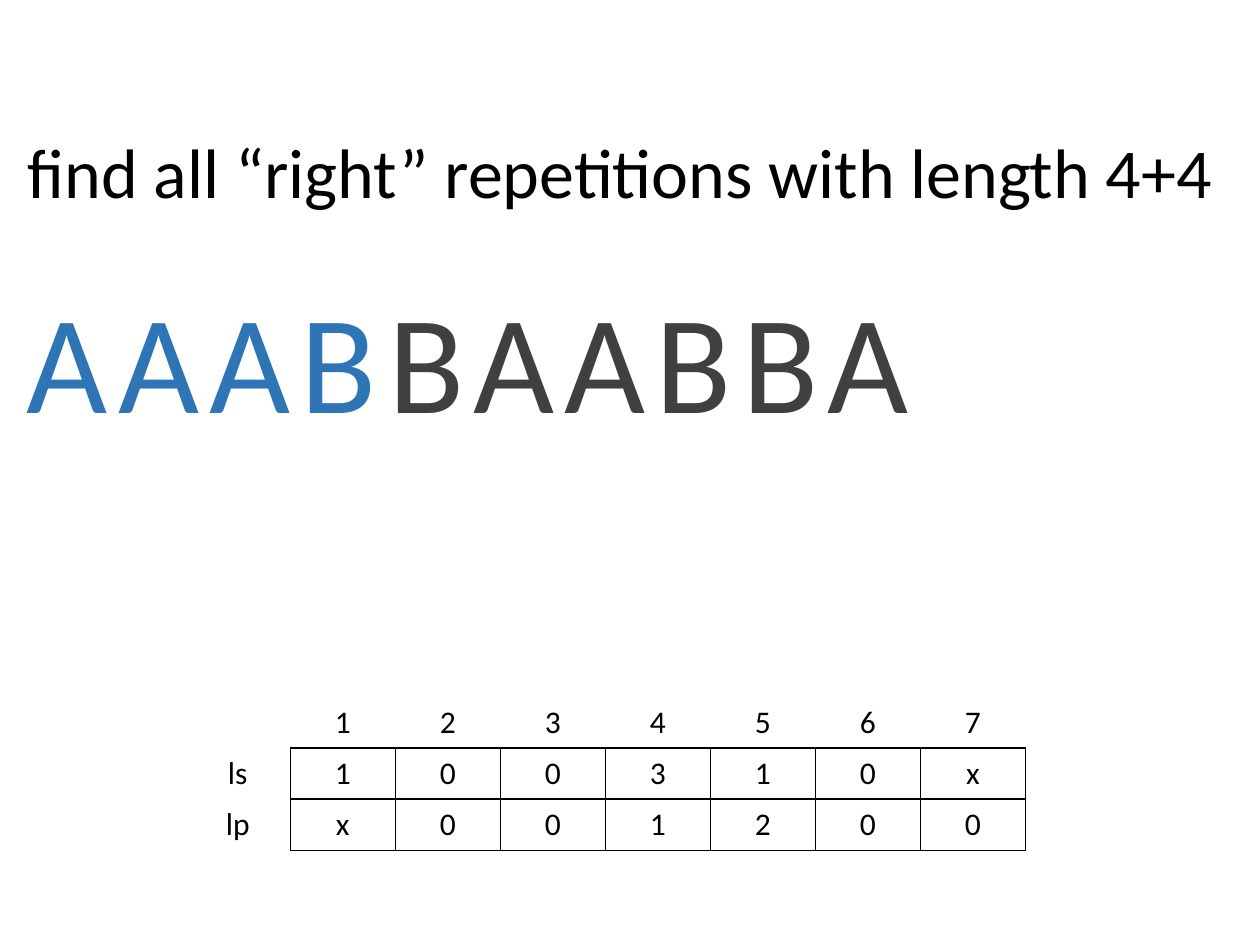
from lxml import etree
from pptx import Presentation
from pptx.dml.color import RGBColor
from pptx.enum.text import MSO_ANCHOR, MSO_AUTO_SIZE, PP_ALIGN
from pptx.oxml.ns import qn
from pptx.util import Inches, Pt

CENTER = PP_ALIGN.CENTER
TOP, MIDDLE = MSO_ANCHOR.TOP, MSO_ANCHOR.MIDDLE
FIT_SHAPE = MSO_AUTO_SIZE.SHAPE_TO_FIT_TEXT
BLACK = RGBColor(0x00, 0x00, 0x00)
BLUE = RGBColor(0x2E, 0x75, 0xB6)
GRAY = RGBColor(0x40, 0x40, 0x40)
FONT = "Calibri"
TITLE_ONLY = 5


def add_run(p, text, size, color):
    p.alignment = CENTER
    r = p.add_run()
    r.text = text
    r.font.name = FONT
    r.font.size = Pt(size)
    r.font.bold = False
    r.font.color.rgb = color
    return r


def set_border(cell, side, visible):
    ln = etree.SubElement(cell._tc.get_or_add_tcPr(), qn(f"a:ln{side}"), w=str(Pt(1)))
    if visible:
        fill = etree.SubElement(ln, qn("a:solidFill"))
        etree.SubElement(fill, qn("a:srgbClr"), val=str(BLACK))
    else:
        etree.SubElement(ln, qn("a:noFill"))


prs = Presentation()
prs.slide_width, prs.slide_height = Inches(10), Inches(7.5)
s = prs.slides.add_slide(prs.slide_layouts[TITLE_ONLY])

# Title
title = s.shapes.title
title.left, title.top = Inches(0.07), Inches(0.97)
title.width, title.height = Inches(9.7), Inches(0.77)
tf = title.text_frame
tf.word_wrap = False
tf.auto_size = FIT_SHAPE
tf.vertical_anchor = TOP
add_run(tf.paragraphs[0], "find all “right” repetitions with length 4+4", 40, BLACK)

# Letter sequence with its left part highlighted
sequence = s.shapes.add_textbox(Inches(0.04), Inches(2.12), Inches(7.35), Inches(1.45))
tf = sequence.text_frame
tf.word_wrap = False
tf.auto_size = FIT_SHAPE
for text, color in (("AAAB", BLUE), ("BAABBA", GRAY)):
    r = add_run(tf.paragraphs[0], text, 80, color)
    r.font._element.set("spc", "600")

# Table of ls and lp values per position
rows = [
    ["", "1", "2", "3", "4", "5", "6", "7"],
    ["ls", "1", "0", "0", "3", "1", "0", "x"],
    ["lp", "x", "0", "0", "1", "2", "0", "0"],
]
n_rows, n_cols = len(rows), len(rows[0])
table = s.shapes.add_table(n_rows, n_cols, Inches(1.47), Inches(5.53),
                           Inches(6.67), Inches(1.22)).table
table.first_row = False
table.horz_banding = False
for i, row in enumerate(rows):
    for j, text in enumerate(row):
        cell = table.cell(i, j)
        cell.vertical_anchor = MIDDLE
        if text:
            add_run(cell.text_frame.paragraphs[0], text, 18, BLACK)
        is_value = i > 0 and j > 0
        set_border(cell, "L", is_value)
        set_border(cell, "R", i > 0)
        set_border(cell, "T", is_value)
        set_border(cell, "B", j > 0)
        cell.fill.background()

prs.save("out.pptx")
